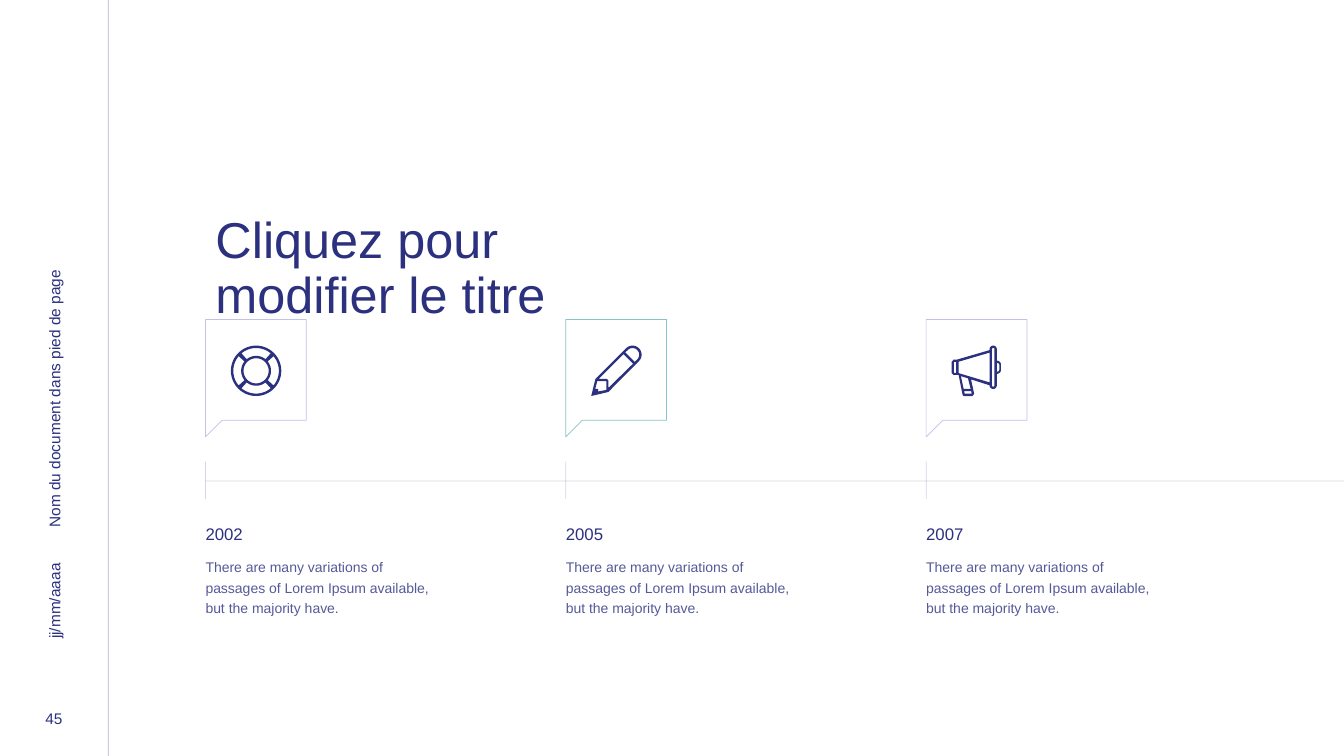
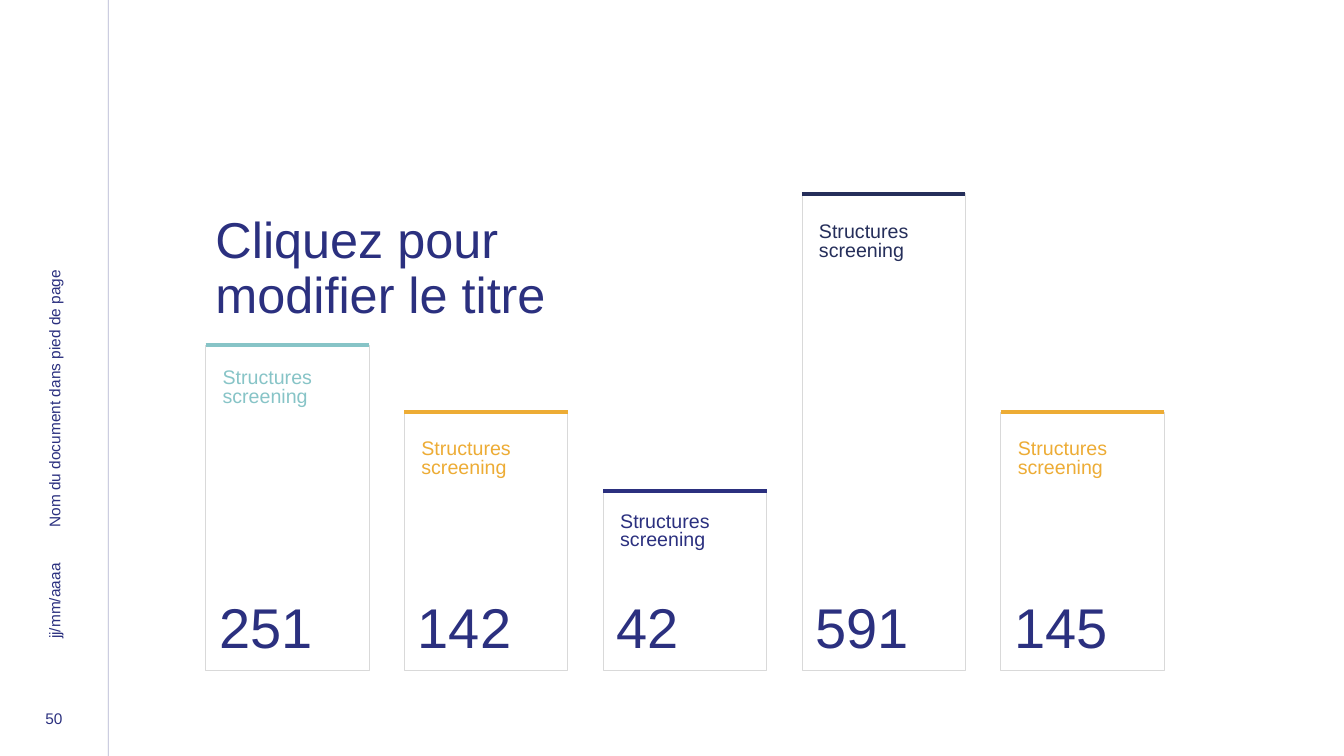
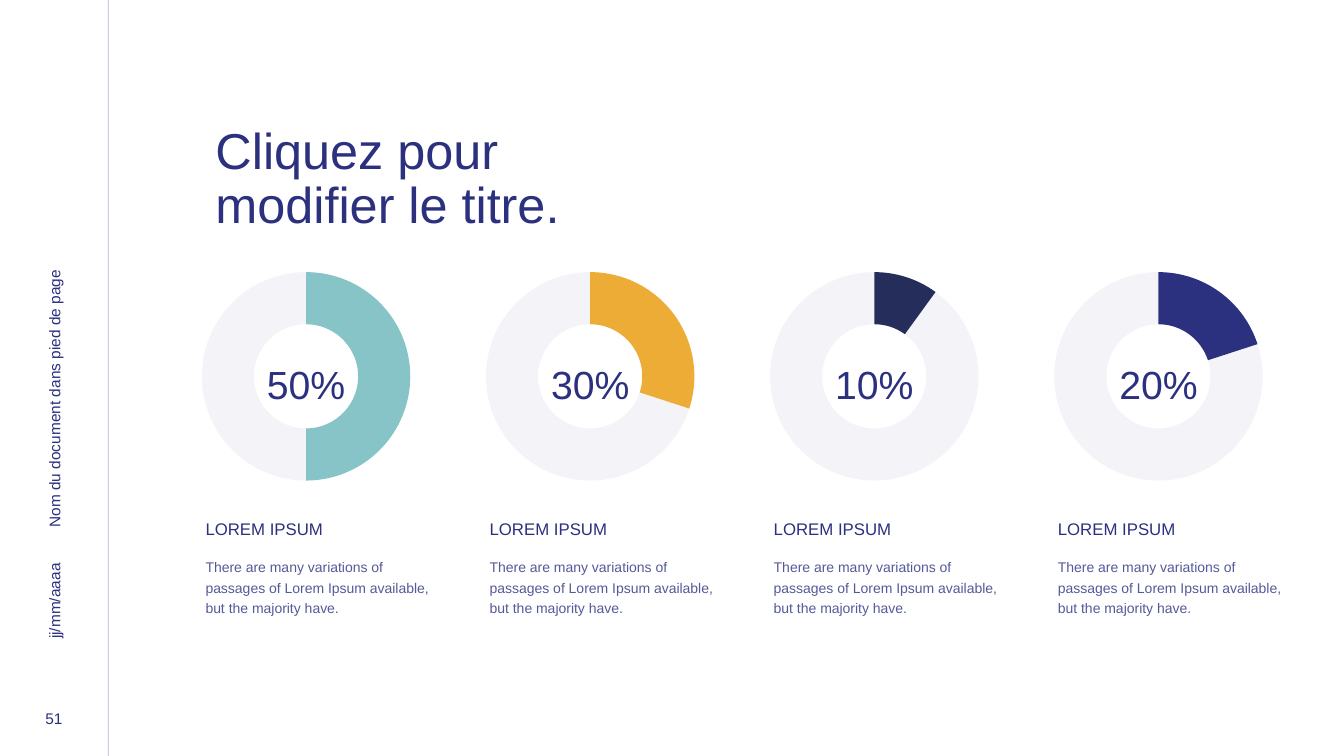
from dataclasses import dataclass
from math import cos, radians, sin

from lxml.etree import SubElement
from pptx import Presentation
from pptx.chart.data import CategoryChartData
from pptx.dml.color import RGBColor as Rgb
from pptx.enum.chart import XL_CHART_TYPE as ChartType
from pptx.enum.shapes import MSO_CONNECTOR as Connector, MSO_SHAPE as Preset
from pptx.enum.text import MSO_ANCHOR as Anchor, MSO_AUTO_SIZE as AutoSize, PP_ALIGN as Align
from pptx.oxml.ns import qn
from pptx.util import Cm, Pt


@dataclass(frozen=True)
class Theme:
    """Colours, font and type sizes shared by all slides."""

    font: str = "Arial"
    navy: Rgb = Rgb.from_string("2B307F")
    midnight: Rgb = Rgb.from_string("252E5A")
    teal: Rgb = Rgb.from_string("87C4C7")
    amber: Rgb = Rgb.from_string("EDAC35")
    lilac: Rgb = Rgb.from_string("C0C2EA")
    grey: Rgb = Rgb.from_string("D9D9D9")
    title: Pt = Pt(36)
    figure: Pt = Pt(40)
    percent: Pt = Pt(28)
    label: Pt = Pt(14)
    heading: Pt = Pt(12)
    footer: Pt = Pt(11)
    body: Pt = Pt(10)
    hairline: Pt = Pt(0.5)
    accent: Pt = Pt(3)


THEME = Theme()
WIDTH, HEIGHT = 33.87, 19.05
LEFT = 5.18
NO_INSETS = (0, 0, 0, 0)
COLUMN_INSETS = (0, 0.13, 0, 0.13)
BLURB = "There are many variations of passages of Lorem Ipsum available, but the majority have."


def fade(element, percent):
    """Make every colour inside an element partly transparent."""
    for colour in element.iter(qn("a:srgbClr")):
        SubElement(colour, qn("a:alpha"), val=str(percent * 1000))


def write(shape, text, size, color=THEME.navy, spacing=None, align=Align.LEFT,
          anchor=Anchor.TOP, insets=(0.25, 0.13, 0.25, 0.13), wrap=True):
    """Fill a shape with formatted text."""
    frame = shape.text_frame
    frame.text = text
    frame.word_wrap = wrap
    frame.vertical_anchor = anchor
    frame.margin_left, frame.margin_top, frame.margin_right, frame.margin_bottom = map(Cm, insets)
    for paragraph in frame.paragraphs:
        paragraph.alignment = align
        paragraph.line_spacing = spacing
        for run in paragraph.runs:
            run.font.name = THEME.font
            run.font.size = size
            run.font.color.rgb = color


def add_text(slide, box, text, size, **style):
    """Add a text box and return it."""
    text_box = slide.shapes.add_textbox(*map(Cm, box))
    write(text_box, text, size, **style)
    return text_box


def add_line(slide, start, end, color=THEME.navy, width=THEME.hairline, opacity=None):
    """Add a straight line without shadow."""
    line = slide.shapes.add_connector(Connector.STRAIGHT, *map(Cm, start + end))
    line.line.color.rgb = color
    line.line.width = width
    SubElement(line.element.find(qn("p:spPr")), qn("a:effectLst"))
    if opacity:
        fade(line.element, opacity)


def add_outline(slide, origin, contours, unit=1.0, fill=None, line=None):
    """Add one freeform made of closed contours."""
    scaled = [[(Cm(x * unit), Cm(y * unit)) for x, y in contour] for contour in contours]
    builder = slide.shapes.build_freeform(*scaled[0][0])
    for index, contour in enumerate(scaled):
        if index:
            builder.move_to(*contour[0])
        builder.add_line_segments(contour[1:], close=True)
    outline = builder.convert_to_shape(*map(Cm, origin))
    paint(outline, fill, line)


def paint(shape, fill=None, line=None):
    """Set fill and hairline of a shape, with none where no colour is given."""
    shape.shadow.inherit = False
    if fill is None:
        shape.fill.background()
    else:
        shape.fill.solid()
        shape.fill.fore_color.rgb = fill
    if line is None:
        shape.line.fill.background()
    else:
        shape.line.color.rgb = line
        shape.line.width = THEME.hairline


def arc(x, y, radius, start, end, steps=20):
    """Return points along a circular arc, in degrees."""
    angles = [radians(start + (end - start) * step / steps) for step in range(steps + 1)]
    return [(x + radius * cos(angle), y + radius * sin(angle)) for angle in angles]


def lifebuoy():
    """Return the contours of the lifebuoy icon on a grid of 50."""
    panels = [arc(25, 25, 22.6, middle - 40, middle + 40) + arc(25, 25, 14.8, middle + 39, middle - 39)
              for middle in range(0, 360, 90)]
    return [arc(25, 25, 25, 0, 360, 60), arc(25, 25, 12.5, 0, 360, 40), *panels]


def pencil():
    """Return the contours of the pencil icon on a grid of 50."""
    return [
        arc(41, 9, 9, 225, 405) + [(17, 46), (0, 50), (4.2, 33)],
        arc(41, 9, 6.6, 225, 405) + [(43.2, 16.2), (33.8, 6.8)],
        [(17, 42), (17, 34.5), (15.6, 33), (7.5, 33), (32, 8.5), (41.5, 18)],
        [(15, 44), (7, 45.5), (7, 43), (4, 43), (6, 35.3), (15, 35.3)],
    ]


def megaphone():
    """Return the contours of the megaphone icon on a grid of 50."""
    body = (arc(41.3, 3.6, 3.6, 180, 360) + arc(45, 19, 4, 270, 360) + arc(45, 24, 4, 0, 90)
            + arc(41.3, 39.4, 3.6, 0, 180)
            + [(19.3, 33.5), (22.5, 48), (20.6, 50), (12, 50), (11, 49), (7, 29), (2, 29),
               (0, 27), (0, 16), (2, 14), (5, 14), (37.7, 4.5)])
    return [
        body,
        [(45, 17), (46.7, 17.6), (47.5, 19), (47.5, 24), (46.7, 25.4), (45, 26)],
        arc(41.3, 3.6, 1.3, 180, 360) + arc(41.3, 39.4, 1.3, 0, 180),
        [(37.7, 36.5), (7, 27.3), (7, 16), (37.7, 7)],
        [(19, 43), (12, 43), (9.3, 30.3), (16.3, 32.5)],
        [(20, 47.6), (13, 47.6), (12.5, 45.2), (19.5, 45.2)],
        [(4.6, 27), (2.4, 27), (2.4, 16.2), (4.6, 16.2)],
    ]


def add_frame(deck, number, title, title_top=4.55):
    """Add a slide with its title, side rule and upright footers."""
    slide = deck.slides.add_slide(deck.slide_layouts[6])
    page = slide.shapes.add_shape(Preset.ROUNDED_RECTANGLE, *map(Cm, (0.33, 17.68, 2.06, 0.76)))
    paint(page)
    write(page, number, THEME.footer, spacing=Pt(16), align=Align.CENTER,
          anchor=Anchor.MIDDLE, insets=NO_INSETS, wrap=False)
    add_line(slide, (2.73, 0), (2.73, HEIGHT), opacity=36)
    add_text(slide, (LEFT, title_top, 11.73, 4.5), title, THEME.title,
             spacing=0.9, anchor=Anchor.MIDDLE)
    footers = (("Nom du document dans pied de page", (-4.06, 7.59, 10.85, 0.76), (0.1, 0, 0, 0)),
               ("jj/mm/aaaa", (0.15, 14.5, 2.44, 0.76), NO_INSETS))
    for text, box, insets in footers:
        footer = add_text(slide, box, text, THEME.footer, anchor=Anchor.MIDDLE, insets=insets)
        footer.rotation = 270
    return slide


def add_column(slide, left, heading_top, heading):
    """Add a heading with the paragraph below it."""
    title = add_text(slide, (left, heading_top, 5.97, 0.61), heading, THEME.heading,
                     spacing=0.7, insets=COLUMN_INSETS)
    blurb = add_text(slide, (left, 13.87, 5.97, 1.8), BLURB, THEME.body,
                     spacing=1.2, insets=COLUMN_INSETS)
    fade(blurb.element, 80)
    for part in (title, blurb):
        part.text_frame.auto_size = AutoSize.SHAPE_TO_FIT_TEXT


def add_milestone(slide, left, year, icon, border):
    """Add a speech bubble with icon, a tick and the year's text."""
    side, tail = 2.54, 0.42
    bubble = [(0, 0), (side, 0), (side, side), (tail, side), (0, side + tail)]
    add_outline(slide, (left, 8.05), [bubble], line=border)
    add_outline(slide, (left + 0.64, 8.71), icon, unit=1.27 / 50, fill=THEME.navy)
    add_line(slide, (left, 11.63), (left, 12.57), opacity=20)
    add_column(slide, left, 13.21, year)


def add_bar(slide, left, top, label_top, figure, color):
    """Add an outlined bar with a coloured top edge, label and figure."""
    width, bottom = 4.12, 16.89
    bar = slide.shapes.add_shape(Preset.RECTANGLE, *map(Cm, (left, top, width, bottom - top)))
    paint(bar, line=THEME.grey)
    add_line(slide, (left, top), (left + width, top), color, THEME.accent)
    add_text(slide, (left + 0.18, label_top, 3.94, 2.36), "Structures\nscreening", THEME.label,
             color=color, spacing=0.8)
    add_text(slide, (left + 0.09, 15.14, 4.04, 1.42), figure, THEME.figure, spacing=0.8)


def add_doughnut(slide, left, share, color):
    """Add a doughnut chart with its percentage in the middle."""
    data = CategoryChartData()
    data.categories = ["1", "2"]
    data.add_series("Series 1", (share, 100 - share))
    box = map(Cm, (left, 6.5, 7.57, 5.97))
    chart = slide.shapes.add_chart(ChartType.DOUGHNUT, *box, data).chart
    chart.has_title = chart.has_legend = False
    chart.font.name = THEME.font
    chart.font.size = THEME.body
    chart.font.color.rgb = THEME.navy
    plot = chart.plots[0]
    plot.vary_by_categories = True
    for index, shade in enumerate((color, THEME.navy)):
        part = plot.series[0].points[index].format
        part.fill.solid()
        part.fill.fore_color.rgb = shade
        part.line.fill.background()
    fade(chart.element.findall(".//" + qn("c:dPt"))[1], 5)
    for hole in chart.element.iter(qn("c:holeSize")):
        hole.set("val", "80")
    for layout in list(chart.element.iter(qn("c:layout"))):
        manual = SubElement(layout, qn("c:manualLayout"))
        for tag, value in (("layoutTarget", "inner"), ("xMode", "edge"), ("yMode", "edge"),
                           ("x", "0.15"), ("y", "0.06"), ("w", "0.7"), ("h", "0.88")):
            SubElement(manual, qn("c:" + tag), val=value)
    add_text(slide, (left + 2.17, 8.74, 3.23, 1.45), f"{share}%", THEME.percent, spacing=1.45,
             align=Align.CENTER, anchor=Anchor.MIDDLE, insets=(0.25, 0, 0.25, 0.13))


def add_timeline_slide(deck):
    """Add the slide with three dated milestones."""
    slide = add_frame(deck, "45", "Cliquez pour\vmodifier le titre")
    add_line(slide, (LEFT, 12.12), (WIDTH, 12.12), opacity=20)
    milestones = (("2002", lifebuoy(), THEME.lilac),
                  ("2005", pencil(), THEME.teal),
                  ("2007", megaphone(), THEME.lilac))
    for index, milestone in enumerate(milestones):
        add_milestone(slide, LEFT + 9.08 * index, *milestone)


def add_bars_slide(deck):
    """Add the slide with five bars."""
    slide = add_frame(deck, "50", "Cliquez pour\vmodifier le titre")
    bars = ((8.7, 9.19, "251", THEME.teal),
            (10.39, 10.97, "142", THEME.amber),
            (12.37, 12.8, "42", THEME.navy),
            (4.88, 5.51, "591", THEME.midnight),
            (10.39, 10.97, "145", THEME.amber))
    for index, bar in enumerate(bars):
        add_bar(slide, LEFT + 5.01 * index, *bar)


def add_shares_slide(deck):
    """Add the slide with four doughnut charts."""
    slide = add_frame(deck, "51", "Cliquez pour\vmodifier le titre.", title_top=2.29)
    shares = ((50, THEME.teal), (30, THEME.amber), (10, THEME.midnight), (20, THEME.navy))
    for index, (share, color) in enumerate(shares):
        offset = 7.16 * index
        add_doughnut(slide, 3.93 + offset, share, color)
        add_column(slide, LEFT + offset, 13.08, "LOREM IPSUM")


def main():
    """Build and save the presentation."""
    deck = Presentation()
    deck.slide_width, deck.slide_height = Cm(WIDTH), Cm(HEIGHT)
    add_timeline_slide(deck)
    add_bars_slide(deck)
    add_shares_slide(deck)
    deck.save("out.pptx")


if __name__ == "__main__":
    main()
